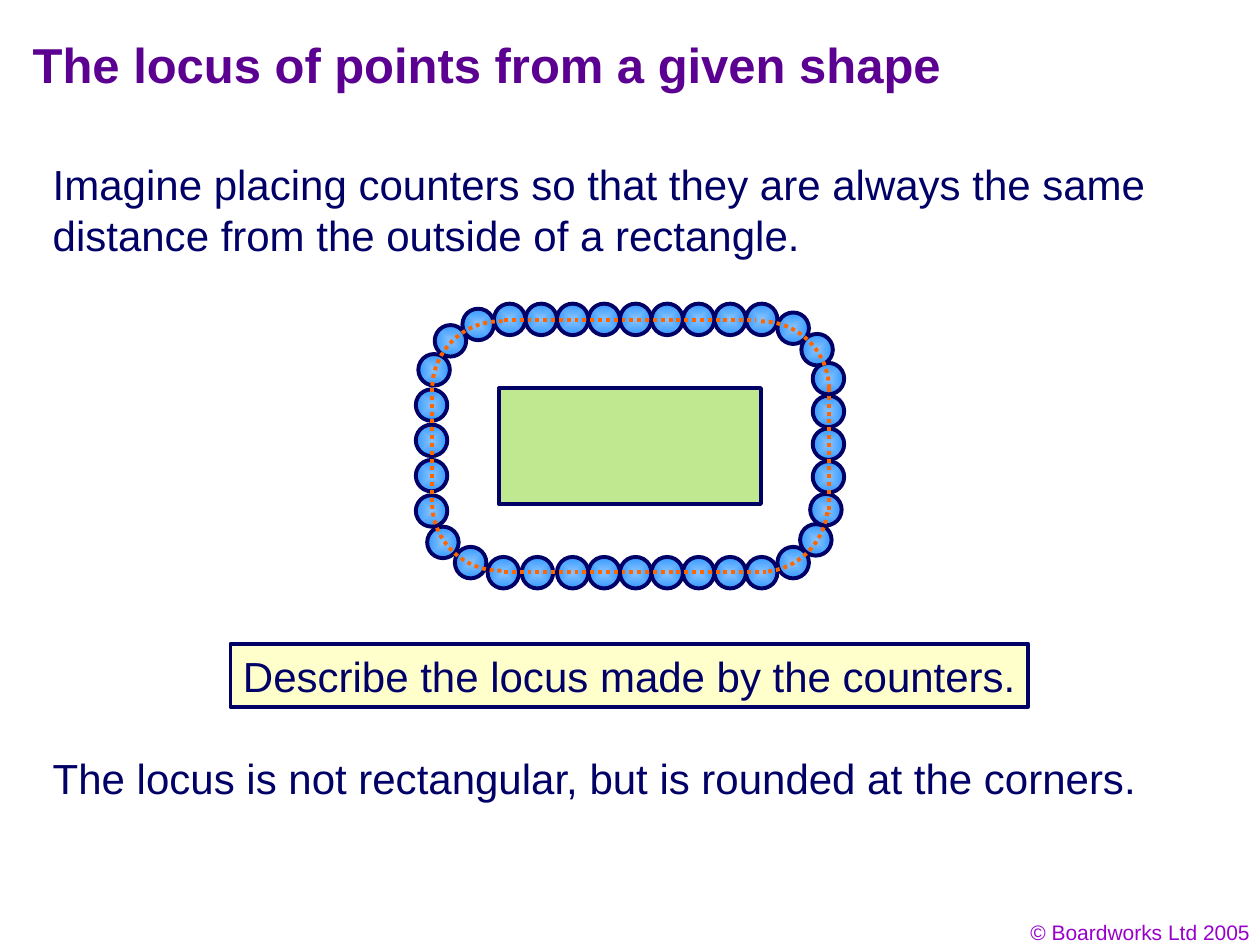
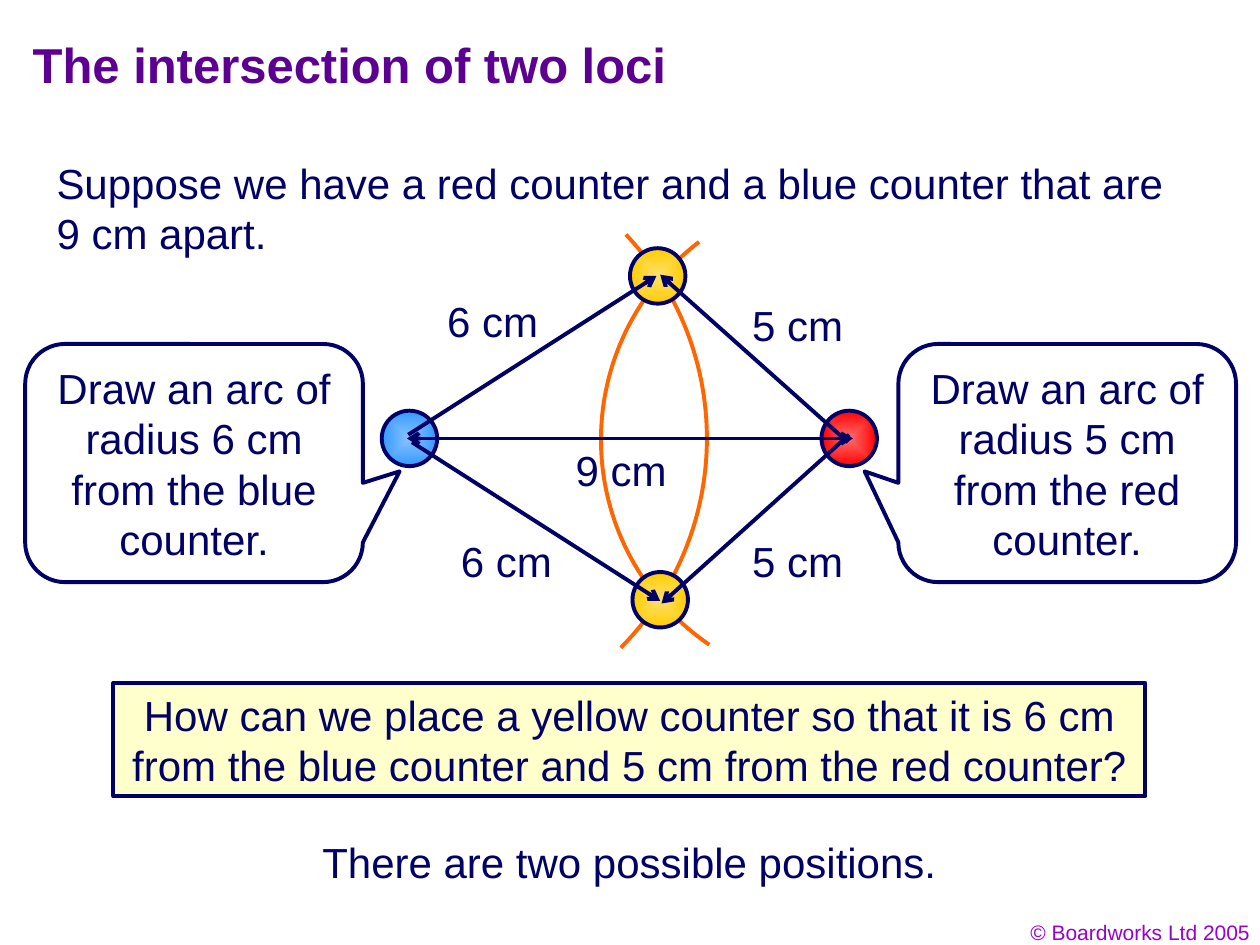
from lxml import etree
from pptx import Presentation
from pptx.dml.color import RGBColor
from pptx.enum import dml, shapes, text
from pptx.oxml import ns
from pptx.util import Inches, Pt

NAVY = RGBColor(0x00, 0x00, 0x66)
INK = RGBColor(0x01, 0x00, 0x66)
PURPLE = RGBColor(0x5B, 0x00, 0x91)
VIOLET = RGBColor(0x99, 0x00, 0xCC)
ORANGE = RGBColor(0xFF, 0x66, 0x00)
CREAM = RGBColor(0xFF, 0xFF, 0xCC)
GREEN = RGBColor(0xC0, 0xE8, 0x90)
WHITE = RGBColor(0xFF, 0xFF, 0xFF)
BLUE = (RGBColor(0x89, 0xC3, 0xFE), RGBColor(0x33, 0x99, 0xFF))
RED = (RGBColor(0xFE, 0x6C, 0x6C), RGBColor(0xFF, 0x00, 0x00))
YELLOW = (RGBColor(0xFE, 0xE0, 0x6C), RGBColor(0xFF, 0xCC, 0x00))

FONT = "Arial"
LINE_WIDTH = Pt(2.25)
LEFT, CENTER, RIGHT = text.PP_ALIGN.LEFT, text.PP_ALIGN.CENTER, text.PP_ALIGN.RIGHT
TOP, MIDDLE = text.MSO_ANCHOR.TOP, text.MSO_ANCHOR.MIDDLE
DOTTED = dml.MSO_LINE.ROUND_DOT


def inches(*lengths):
    return [Inches(length) for length in lengths]


def write(s, words, size=24, color=INK, bold=False, align=LEFT, anchor=TOP, wrap=True):
    tf = s.text_frame
    tf.text = words
    tf.word_wrap = wrap
    tf.auto_size = text.MSO_AUTO_SIZE.NONE
    tf.vertical_anchor = anchor
    p = tf.paragraphs[0]
    p.alignment = align
    p.line_spacing = Pt(size * 1.2)
    font = p.runs[0].font
    font.name, font.size, font.bold = FONT, Pt(size), bold
    font.color.rgb = color


def add_text(slide, box, words, **style):
    write(slide.shapes.add_textbox(*inches(*box)), words, **style)


def set_outline(s, color=NAVY, dash=None):
    s.line.color.rgb = color
    s.line.width = LINE_WIDTH
    if dash:
        s.line.dash_style = dash


def add_panel(slide, box, fill, kind=shapes.MSO_SHAPE.RECTANGLE):
    s = slide.shapes.add_shape(kind, *inches(*box))
    s.shadow.inherit = False
    s.fill.solid()
    s.fill.fore_color.rgb = fill
    set_outline(s)
    return s


def add_callout(slide, left, tip, words):
    s = add_panel(slide, (left, 2.73, 2.68, 1.89), WHITE,
                  shapes.MSO_SHAPE.ROUNDED_RECTANGULAR_CALLOUT)
    for i, value in enumerate((tip, 0.035, 0.167)):
        s.adjustments[i] = value
    write(s, words, align=CENTER, anchor=MIDDLE)


def add_counter(slide, left, top, size=0.25, colors=BLUE):
    s = slide.shapes.add_shape(shapes.MSO_SHAPE.OVAL, *inches(left, top, size, size))
    s.shadow.inherit = False
    s.fill.gradient()
    for stop, color, position in zip(s.fill.gradient_stops, colors, (0, 1)):
        stop.color.rgb = color
        stop.position = position
    gradient = s.element.spPr.find(ns.qn("a:gradFill"))
    gradient.remove(gradient.find(ns.qn("a:lin")))
    shade = etree.SubElement(gradient, ns.qn("a:path"), path="rect")
    etree.SubElement(shade, ns.qn("a:fillToRect"), l="50000", t="50000", r="50000", b="50000")
    set_outline(s)


def add_arc(slide, center, radius, start, end, dash=None):
    x, y = center
    s = slide.shapes.add_shape(shapes.MSO_SHAPE.ARC, *inches(
        x - radius, y - radius, 2 * radius, 2 * radius))
    s.shadow.inherit = False
    s.fill.background()
    s.adjustments[0] = start * 0.6
    s.adjustments[1] = end * 0.6
    set_outline(s, ORANGE, dash)


def add_line(slide, start, end, color=NAVY, dash=None, arrows=()):
    s = slide.shapes.add_connector(shapes.MSO_CONNECTOR.STRAIGHT, *inches(*start, *end))
    set_outline(s, color, dash)
    ln = s.line._get_or_add_ln()
    for arrow in arrows:
        etree.SubElement(ln, ns.qn("a:" + arrow), type="arrow")
    etree.SubElement(s.element.spPr, ns.qn("a:effectLst"))


def add_slide(prs, title):
    slide = prs.slides.add_slide(prs.slide_layouts[5])
    s = slide.shapes.title
    s.left, s.top, s.width, s.height = inches(0.16, 0.16, 8.04, 0.69)
    write(s, title, size=28, color=PURPLE, bold=True, anchor=MIDDLE)
    add_text(slide, (7.69, 7.25, 2.33, 0.3), "© Boardworks Ltd 2005",
             size=12, color=VIOLET, align=RIGHT)
    return slide


def build_rectangle_locus(prs):
    slide = add_slide(prs, "The locus of points from a given shape")
    add_text(slide, (0.32, 1.21, 9.35, 0.9),
             "Imagine placing counters so that they are always the same "
             "distance from the outside of a rectangle.")
    add_text(slide, (0.32, 5.92, 9.52, 0.5),
             "The locus is not rectangular, but is rounded at the corners.")
    question = add_panel(slide, (1.83, 5.11, 6.33, 0.5), CREAM)
    write(question, "Describe the locus made by the counters.", color=NAVY, wrap=False)
    add_panel(slide, (3.96, 3.08, 2.08, 0.92), GREEN)

    bottom = [(5.92 - 0.25 * i, 4.42) for i in range(7)] + [(4.14, 4.42), (3.87, 4.42)]
    left = [(3.3, 3.93 - 0.28 * i) for i in range(4)] + [(3.32, 2.81)]
    top_right = [(6.17, 2.48)]
    top = [(5.92 - 0.25 * i, 2.41) for i in range(9)]
    top_left = [(3.45, 2.58), (3.67, 2.45)]
    bottom_right = [(6.17, 4.34), (6.35, 4.16), (6.43, 3.92)]
    right = [(6.45, 3.66 - 0.26 * i) for i in range(4)] + [(6.36, 2.65)]
    bottom_left = [(3.61, 4.34), (3.39, 4.18)]
    for position in (bottom + left + top_right + top + top_left
                     + bottom_right + right + bottom_left):
        add_counter(slide, *position)

    for start, end in (((4, 2.54), (6, 2.54)), ((4, 4.54), (6.08, 4.54)),
                       ((3.43, 3.08), (3.43, 3.99)), ((6.58, 3.08), (6.58, 4.08))):
        add_line(slide, start, end, ORANGE, DOTTED)
    for center, start, end in (((3.97, 3.99), 89, 178), ((6.04, 3.09), 270, 1),
                               ((6.03, 4), 7, 85), ((3.97, 3.09), 183, 272)):
        add_arc(slide, center, 0.54, start, end, DOTTED)


def build_two_loci(prs):
    slide = add_slide(prs, "The intersection of two loci")
    add_text(slide, (0.35, 1.2, 9.01, 0.9),
             "Suppose we have a red counter and a blue counter that are 9 cm apart.")
    add_text(slide, (4.47, 3.48, 0.92, 0.5), "9 cm", wrap=False)
    question = add_panel(slide, (0.9, 5.42, 8.19, 0.9), CREAM)
    write(question, "How can we place a yellow counter so that it is 6 cm "
          "from the blue counter and 5 cm from the red counter?", align=CENTER)
    add_text(slide, (2.46, 6.59, 5.07, 0.5), "There are two possible positions.", wrap=False)

    add_counter(slide, 3.03, 3.26, 0.44, BLUE)
    add_arc(slide, (3.25, 3.48), 2.36, 316.7, 44.7)
    add_counter(slide, 6.52, 3.26, 0.44, RED)
    add_arc(slide, (6.74, 3.49), 1.97, 124.3, 232.8)
    add_line(slide, (3.23, 3.48), (6.77, 3.48), arrows=("headEnd", "tailEnd"))
    add_counter(slide, 5.02, 4.54, 0.44, YELLOW)
    add_counter(slide, 5, 1.97, 0.44, YELLOW)

    for start, end, label, left, top in (
            ((3.24, 3.45), (5.21, 2.19), "6 cm", 3.45, 2.3),
            ((3.27, 3.51), (5.24, 4.77), "6 cm", 3.56, 4.2),
            ((6.73, 3.51), (5.24, 2.18), "5 cm", 5.87, 2.33),
            ((6.74, 3.45), (5.25, 4.79), "5 cm", 5.87, 4.2)):
        add_line(slide, start, end, arrows=("tailEnd",))
        add_text(slide, (left, top, 0.92, 0.5), label, wrap=False)

    add_callout(slide, 0.2, 0.609, "Draw an arc of radius 6 cm from the blue counter.")
    add_callout(slide, 7.13, -0.6, "Draw an arc of radius 5 cm from the red counter.")


def main():
    prs = Presentation()
    prs.slide_width, prs.slide_height = inches(10, 7.5)
    build_rectangle_locus(prs)
    build_two_loci(prs)
    prs.save("out.pptx")


if __name__ == "__main__":
    main()
